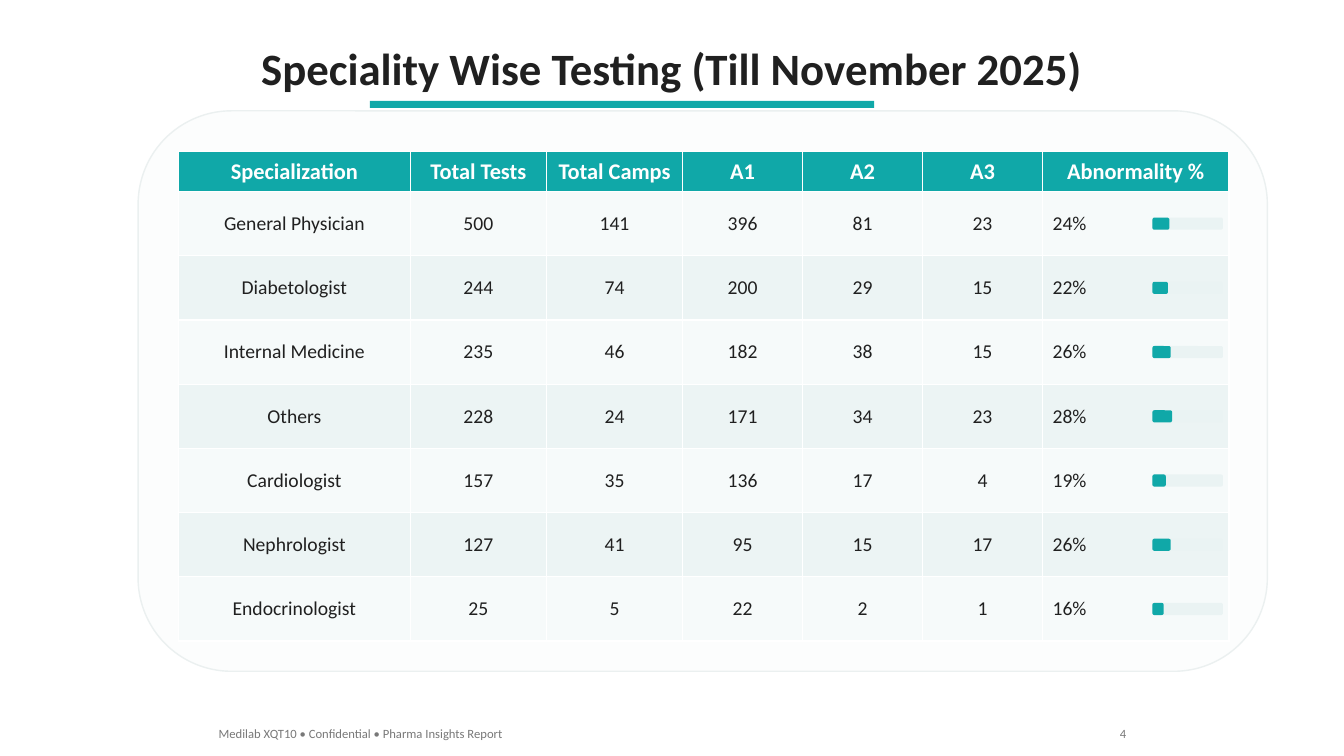
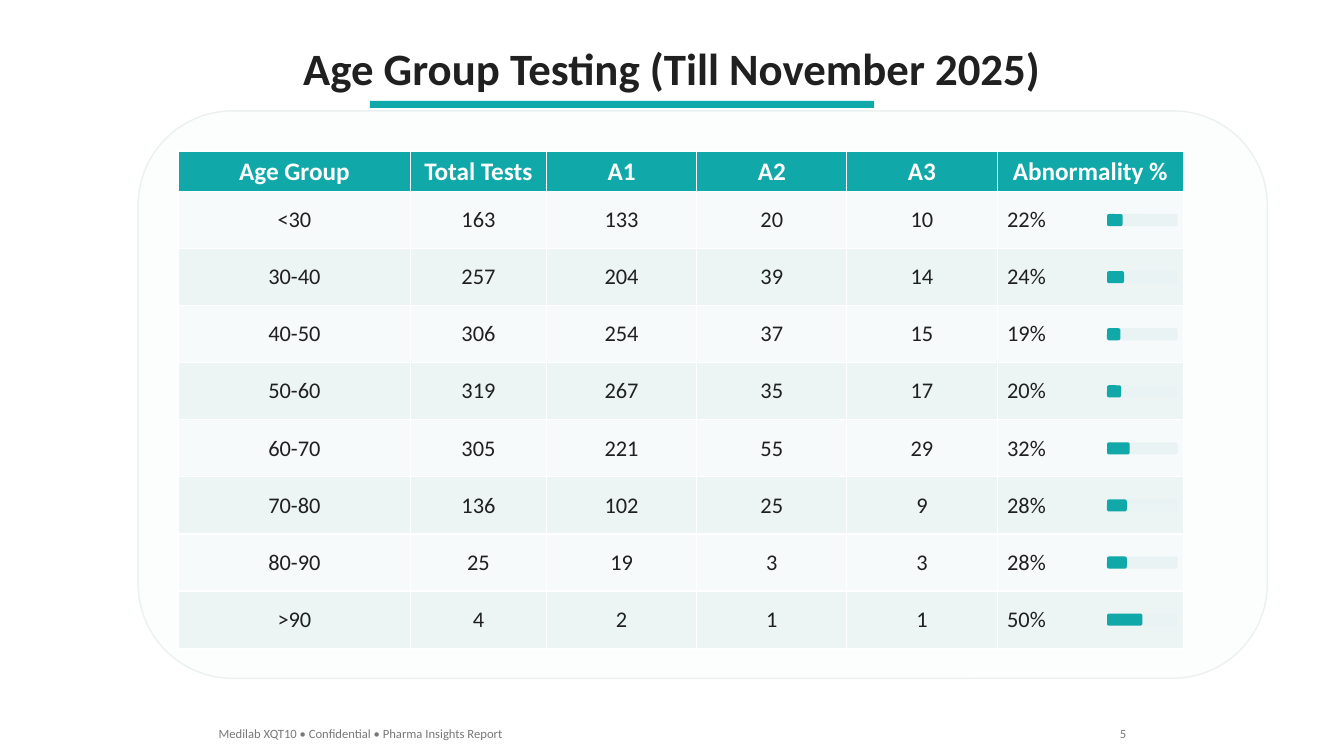
from pptx import Presentation
from pptx.dml.color import RGBColor
from pptx.enum.shapes import MSO_SHAPE as Shape
from pptx.enum.text import MSO_ANCHOR as Anchor, PP_ALIGN as Align
from pptx.util import Inches, Pt

FONT = "Calibri"
COLORS = {
    "ink": "202020",
    "teal": "10A8A8",
    "white": "FFFFFF",
    "panel": "FCFDFD",
    "panel_edge": "EBF0F0",
    "odd_row": "F6FAFA",
    "even_row": "ECF4F4",
    "track": "EAF3F3",
    "footer": "787878",
}
FOOTER = "Medilab XQT10 • Confidential • Pharma Insights Report"
FIRST_PAGE = 4

REPORTS = [
    {
        "title": "Speciality Wise Testing (Till November 2025)",
        "header": ["Specialization", "Total Tests", "Total Camps", "A1", "A2", "A3", "Abnormality %"],
        "rows": [
            ("General Physician", 500, 141, 396, 81, 23, 24),
            ("Diabetologist", 244, 74, 200, 29, 15, 22),
            ("Internal Medicine", 235, 46, 182, 38, 15, 26),
            ("Others", 228, 24, 171, 34, 23, 28),
            ("Cardiologist", 157, 35, 136, 17, 4, 19),
            ("Nephrologist", 127, 41, 95, 15, 17, 26),
            ("Endocrinologist", 25, 5, 22, 2, 1, 16),
        ],
        "columns": [2.3, 1.35, 1.35, 1.19, 1.19, 1.19, 1.85],
        "table_height": 4.86,
        "header_size": 16,
        "body_size": 14,
    },
    {
        "title": "Age Group Testing (Till November 2025)",
        "header": ["Age Group", "Total Tests", "A1", "A2", "A3", "Abnormality %"],
        "rows": [
            ("<30", 163, 133, 20, 10, 22),
            ("30-40", 257, 204, 39, 14, 24),
            ("40-50", 306, 254, 37, 15, 19),
            ("50-60", 319, 267, 35, 17, 20),
            ("60-70", 305, 221, 55, 29, 32),
            ("70-80", 136, 102, 25, 9, 28),
            ("80-90", 25, 19, 3, 3, 28),
            (">90", 4, 2, 1, 1, 50),
        ],
        "columns": [2.3, 1.35, 1.49, 1.49, 1.49, 1.85],
        "table_height": 4.93,
        "header_size": 18,
        "body_size": 16,
    },
]

SLIDE_W, SLIDE_H = 13.33, 7.5
TITLE_MARGIN = 0.67
TABLE_LEFT, TABLE_TOP, HEADER_H = 1.77, 1.5, 0.4
PANEL_LEFT, PANEL_TOP, PANEL_W, PANEL_PAD = 1.37, 1.1, 11.2, 0.3
TRACK_W, TRACK_H, TRACK_INSET = 0.7, 0.12, 0.76


def rgb(name):
    return RGBColor.from_string(COLORS[name])


def box(left, top, width, height):
    return [Inches(length) for length in (left, top, width, height)]


def write(frame, text, size, color, bold=False, align=Align.LEFT):
    paragraph = frame.paragraphs[0]
    paragraph.alignment = align
    run = paragraph.add_run()
    run.text = text
    font = run.font
    font.name, font.size, font.bold = FONT, Pt(size), bold
    font.color.rgb = rgb(color)


def add_block(slide, kind, place, fill, edge=None):
    block = slide.shapes.add_shape(kind, *box(*place))
    block.shadow.inherit = False
    block.fill.solid()
    block.fill.fore_color.rgb = rgb(fill)
    if edge:
        block.line.color.rgb = rgb(edge)
        block.line.width = Pt(1)
    else:
        block.line.fill.background()


def add_frame(slide, report, page):
    """Title, accent bar, rounded panel and footer shared by every report."""
    title = slide.shapes.title
    title.left, title.top, title.width, title.height = box(
        TITLE_MARGIN, 0.35, SLIDE_W - 2 * TITLE_MARGIN, 0.64)
    title.text_frame.vertical_anchor = Anchor.MIDDLE
    write(title.text_frame, report["title"], 32, "ink", True, Align.CENTER)

    add_block(slide, Shape.RECTANGLE, (3.67, 1, 5, 0.07), "teal")
    panel_bottom = TABLE_TOP + report["table_height"] + PANEL_PAD
    add_block(slide, Shape.ROUNDED_RECTANGLE,
              (PANEL_LEFT, PANEL_TOP, PANEL_W, panel_bottom - PANEL_TOP),
              "panel", "panel_edge")

    for text, left, width, align in ((FOOTER, 2.07, 4, Align.LEFT),
                                     (str(page), 10.77, 0.5, Align.RIGHT)):
        note = slide.shapes.add_textbox(*box(left, 7.15, width, 0.25))
        note.text_frame.word_wrap = True
        write(note.text_frame, text, 9, "footer", align=align)


def fill_cell(cell, text, fill, size, color, bold, align):
    cell.fill.solid()
    cell.fill.fore_color.rgb = rgb(fill)
    cell.vertical_anchor = Anchor.MIDDLE
    write(cell.text_frame, text, size, color, bold, align)


def add_results(slide, report):
    """Table of counts, with a progress bar in the last column of each row."""
    header, rows, columns = report["header"], report["rows"], report["columns"]
    width, height = sum(columns), report["table_height"]
    row_h = (height - HEADER_H) / len(rows)
    table = slide.shapes.add_table(len(rows) + 1, len(columns),
                                   *box(TABLE_LEFT, TABLE_TOP, width, height)).table
    for column, column_w in zip(table.columns, columns):
        column.width = Inches(column_w)
    for index, row in enumerate(table.rows):
        row.height = Inches(row_h if index else HEADER_H)

    for col, label in enumerate(header):
        fill_cell(table.cell(0, col), label, "teal",
                  report["header_size"], "white", True, Align.CENTER)

    track_left = TABLE_LEFT + width - TRACK_INSET
    for index, (*counts, percent) in enumerate(rows):
        band = "even_row" if index % 2 else "odd_row"
        for col, value in enumerate([*counts, f"{percent}%"]):
            align = Align.CENTER if col < len(counts) else Align.LEFT
            fill_cell(table.cell(index + 1, col), str(value), band,
                      report["body_size"], "ink", False, align)
        track_top = TABLE_TOP + HEADER_H + (index + 0.5) * row_h - TRACK_H / 2
        for share, color in ((1, "track"), (percent / 100, "teal")):
            add_block(slide, Shape.ROUNDED_RECTANGLE,
                      (track_left, track_top, TRACK_W * share, TRACK_H), color)


def main():
    deck = Presentation()
    deck.slide_width, deck.slide_height = Inches(SLIDE_W), Inches(SLIDE_H)
    title_only = deck.slide_layouts[5]
    for page, report in enumerate(REPORTS, FIRST_PAGE):
        slide = deck.slides.add_slide(title_only)
        add_frame(slide, report, page)
        add_results(slide, report)
    deck.save("out.pptx")


if __name__ == "__main__":
    main()
